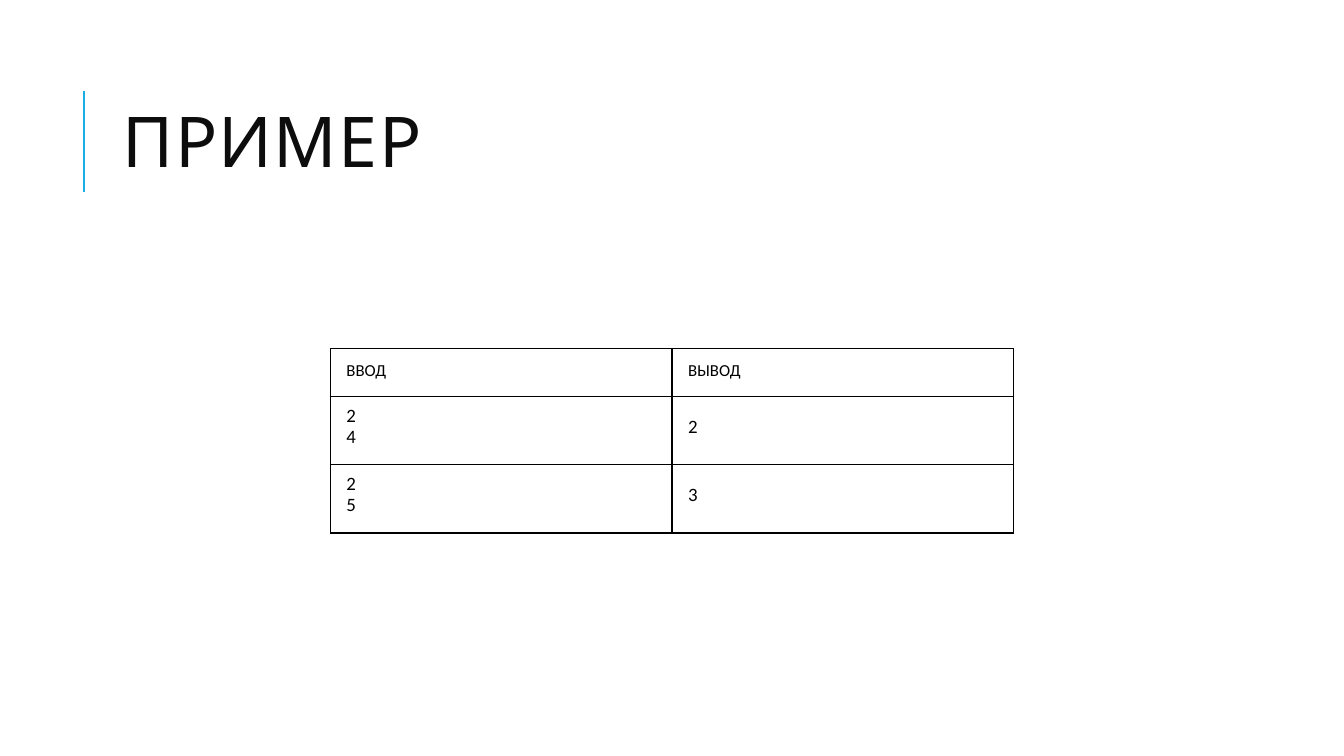
import dataclasses

import lxml.etree
import pptx
import pptx.dml.color
import pptx.enum.shapes
import pptx.enum.text
import pptx.oxml.ns
import pptx.util

Pt = pptx.util.Pt
MIDDLE = pptx.enum.text.MSO_ANCHOR.MIDDLE
qn = pptx.oxml.ns.qn


@dataclasses.dataclass(frozen=True)
class Row:
    cells: tuple[str, ...]
    height: float
    size: float
    spacing: object


BODY = dict(height=48.7, size=13.5, spacing=Pt(15))
ROWS = [
    Row(("ВВОД", "ВЫВОД"), 34.3, 12, 1.07),
    Row(("2\v4", "2"), **BODY),
    Row(("2\v5", "3"), **BODY),
]
WIDTH = 244


def color(code: str) -> pptx.dml.color.RGBColor:
    return pptx.dml.color.RGBColor.from_string(code)


def style(para, face: str, size: float, code: str, spacing) -> None:
    para.line_spacing = spacing
    for run in para.runs:
        run.font.name = face
        run.font.size = Pt(size)
        run.font.color.rgb = color(code)


def border(cell, code: str, width: float) -> None:
    """Draw all four sides of a cell; its fill must be set already."""
    props = cell._tc.get_or_add_tcPr()
    for index, side in enumerate(("lnL", "lnR", "lnT", "lnB")):
        line = lxml.etree.Element(qn(f"a:{side}"), w=str(Pt(width)))
        fill = lxml.etree.SubElement(line, qn("a:solidFill"))
        lxml.etree.SubElement(fill, qn("a:srgbClr"), val=code)
        props.insert(index, line)


def accent(slide) -> None:
    line = slide.shapes.add_connector(
        pptx.enum.shapes.MSO_CONNECTOR.STRAIGHT, Pt(60), Pt(136.8), Pt(60), Pt(64.8))
    line.line.color.rgb = color("1CADE4")
    line.line.width = Pt(1.5)
    lxml.etree.SubElement(line._element.spPr, qn("a:effectLst"))


def title(slide, text: str) -> None:
    box = slide.shapes.add_textbox(Pt(80.6), Pt(46), Pt(765.4), Pt(118))
    frame = box.text_frame
    frame.word_wrap = True
    frame.vertical_anchor = MIDDLE
    frame.text = text
    para = frame.paragraphs[0]
    style(para, "Cabin", 50, "0D0D0D", 0.8)
    para.runs[0].font._element.set("spc", "100")


def grid(slide, rows: list[Row]) -> None:
    count = len(rows[0].cells)
    height = sum(row.height for row in rows)
    table = slide.shapes.add_table(
        len(rows), count, Pt(236), Pt(249), Pt(WIDTH * count), Pt(height)).table
    table.first_row = table.horz_banding = False
    for line, row in zip(table.rows, rows):
        line.height = Pt(row.height)
        for cell, text in zip(line.cells, row.cells):
            cell.fill.background()
            border(cell, "000000", 1)
            cell.margin_left = cell.margin_right = cell.margin_bottom = Pt(11.5)
            cell.margin_top = Pt(7.2)
            cell.vertical_anchor = MIDDLE
            para = cell.text_frame.paragraphs[0]
            para.text = text
            style(para, "Calibri", row.size, "000000", row.spacing)


def main() -> None:
    deck = pptx.Presentation()
    deck.slide_width, deck.slide_height = Pt(960), Pt(540)
    slide = deck.slides.add_slide(deck.slide_layouts[6])
    accent(slide)
    title(slide, "ПРИМЕР")
    grid(slide, ROWS)
    deck.save("out.pptx")


if __name__ == "__main__":
    main()
